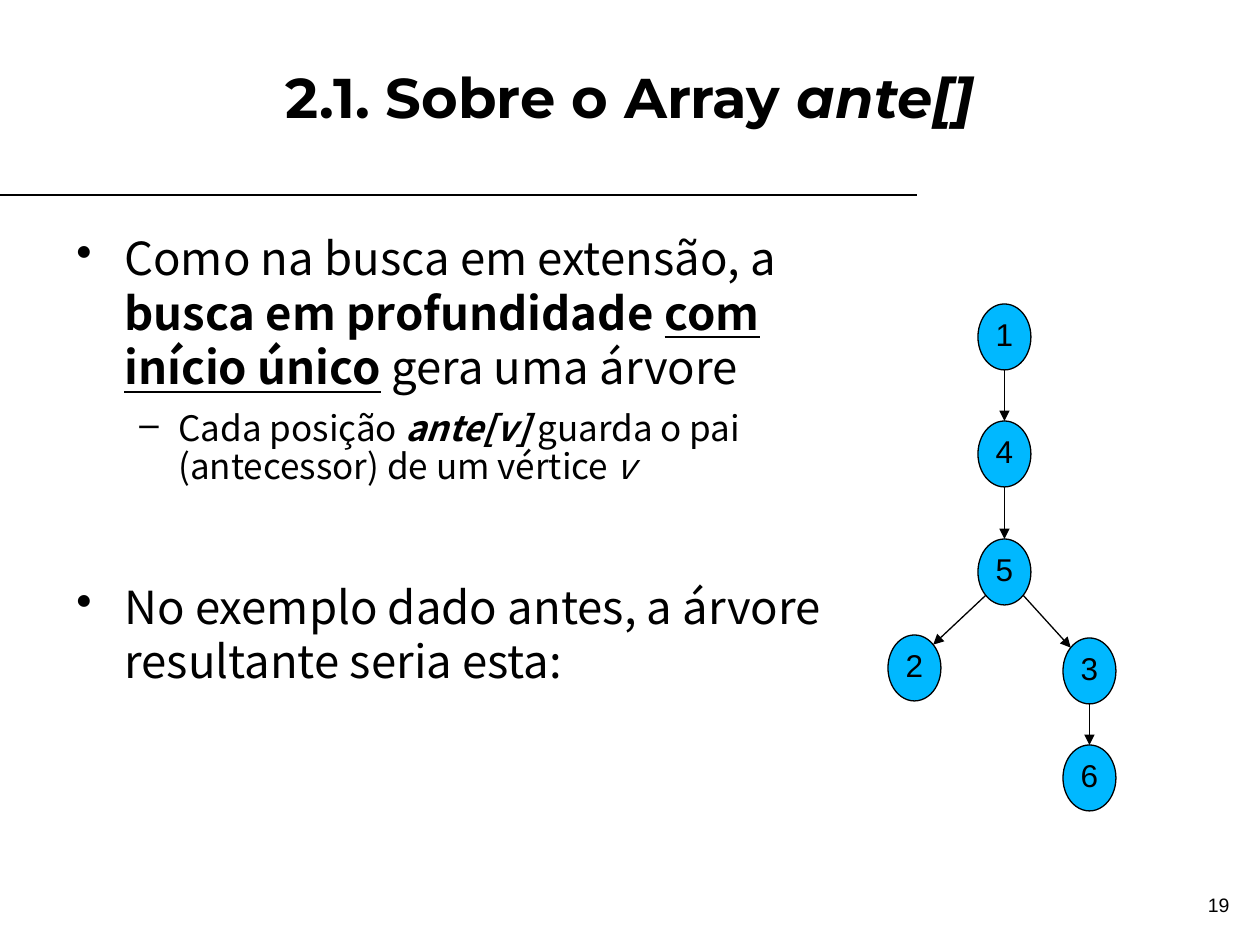
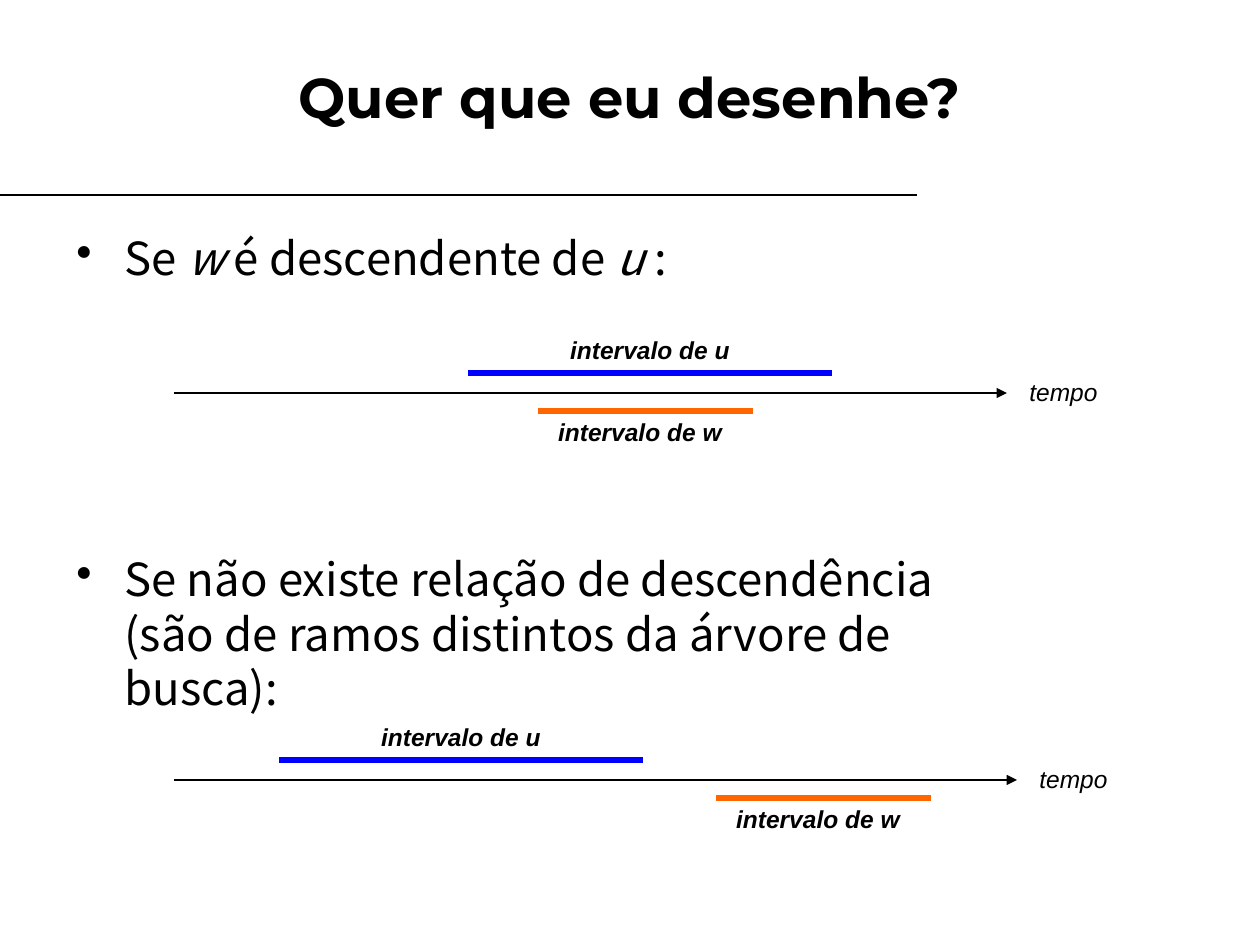
from pptx import Presentation
from pptx import util as u
from pptx.dml.color import RGBColor
from pptx.enum import shapes, text
from pptx.oxml.ns import qn
from lxml import etree

BLACK, SKY, BLUE, ORANGE = "000000", "00B8FF", "0000FF", "FF6600"
HEAD, BODY, SANS = "Montserrat", "Noto Sans CJK JP", "Arial"
LEFT, MID, RIGHT = text.PP_ALIGN.LEFT, text.PP_ALIGN.CENTER, text.PP_ALIGN.RIGHT

LEVELS = {
    "•": dict(size=26, left=48, hang=48, after=4.9, line=None),
    "–": dict(size=20, left=102, hang=39, after=0, line=0.9),
}

ANTE = dict(
    title=[("2.1. Sobre o Array ", "b"), ("ante[]", "bi")],
    width=794,
    body=[
        ("•", 9.8, [("Como na busca em extensão, a ", ""),
                    ("busca em profundidade ", "b"),
                    ("com início único", "bu"),
                    (" gera uma árvore", "")]),
        ("–", 5, [("Cada posição ", ""), ("ante[v]", "bi"),
                  (" guarda o pai (antecessor) de um vértice ", ""), ("v", "i")]),
        ("•", 52.6, [("No exemplo dado antes, a árvore resultante seria esta:", "")]),
    ],
)
NODES = {"1": (978, 304), "4": (978, 421), "5": (978, 539),
         "2": (888, 635), "3": (1063, 638), "6": (1063, 745)}
EDGES = ["14", "45", "52", "53", "36"]
NODE_W, NODE_H = 53, 66

DRAW = dict(
    title=[("Quer que eu desenhe?", "b")],
    width=953,
    body=[
        ("•", 9.8, [("Se ", ""), ("w", "i"), (" é descendente de ", ""),
                    ("u ", "i"), (":", "")]),
        ("•", 147.3, [("Se não existe relação de descendência "
                       "(são de ramos distintos da árvore de busca):", "")]),
    ],
)
TIMES = [dict(y=393, tip=1007, u=471, w=541),
         dict(y=780, tip=1017, u=282, w=719)]
AXIS_X, U_LEN, W_LEN = 174, 358, 209


def px(n):
    return u.Emu(round(n * 914400 / 126))


def rgb(code):
    return RGBColor.from_string(code)


def add_runs(para, runs, font, size):
    for words, style in runs:
        run = para.add_run()
        run.text = words
        f = run.font
        f.name, f.size = font, u.Pt(size)
        f.color.rgb = rgb(BLACK)
        f.bold, f.italic, f.underline = "b" in style, "i" in style, "u" in style


def add_box(slide, x, y, w, h):
    frame = slide.shapes.add_textbox(px(x), px(y), px(w), px(h)).text_frame
    frame.word_wrap = True
    return frame


def add_label(slide, area, runs, font, size, align=LEFT, line=None):
    frame = add_box(slide, *area)
    para = frame.paragraphs[0]
    para.alignment, para.line_spacing = align, line
    add_runs(para, runs, font, size)
    return frame


def add_line(slide, a, b, color=BLACK, width=1, arrow=False, cap="flat"):
    link = slide.shapes.add_connector(
        shapes.MSO_CONNECTOR.STRAIGHT, px(a[0]), px(a[1]), px(b[0]), px(b[1]))
    link.line.color.rgb = rgb(color)
    link.line.width = u.Pt(width)
    ln = link.line._get_or_add_ln()
    ln.set("cap", cap)
    if arrow:
        etree.SubElement(ln, qn("a:tailEnd"), type="triangle")
    etree.SubElement(link._element.spPr, qn("a:effectLst"))


def add_item(para, mark, before, runs):
    level = LEVELS[mark]
    para.space_before, para.space_after = u.Pt(before), u.Pt(level["after"])
    para.line_spacing = level["line"]
    props = para._p.get_or_add_pPr()
    props.set("marL", str(px(level["left"])))
    props.set("indent", str(-px(level["hang"])))
    etree.SubElement(props, qn("a:buChar"), char=mark)
    add_runs(para, runs, BODY, level["size"])


def add_page(deck, page):
    slide = deck.slides.add_slide(deck.slide_layouts[6])
    add_line(slide, (0, 195), (917, 195))
    title = add_label(slide, (63, 18, 1134, 157), page["title"], HEAD, 32, MID)
    title.vertical_anchor = text.MSO_ANCHOR.MIDDLE
    frame = add_box(slide, 64, 224, page["width"], 649)
    for i, item in enumerate(page["body"]):
        para = frame.add_paragraph() if i else frame.paragraphs[0]
        add_item(para, *item)
    return slide


def add_node(slide, name, x, y):
    node = slide.shapes.add_shape(
        shapes.MSO_SHAPE.OVAL, px(x), px(y), px(NODE_W), px(NODE_H))
    node.shadow.inherit = False
    node.fill.solid()
    node.fill.fore_color.rgb = rgb(SKY)
    node.line.color.rgb = rgb(BLACK)
    node.line.width = u.Pt(0.75)
    frame = node.text_frame
    frame.word_wrap = False
    frame.vertical_anchor = text.MSO_ANCHOR.MIDDLE
    para = frame.paragraphs[0]
    para.alignment, para.line_spacing = MID, 0.87
    add_runs(para, [(name, "")], SANS, 18)


def rim(name, side, down):
    x, y = NODES[name]
    reach = 0.707 if side else 1
    return (x + NODE_W / 2 * (1 + side * reach),
            y + NODE_H / 2 * (1 + down * reach))


def add_tree(slide):
    for name, spot in NODES.items():
        add_node(slide, name, *spot)
    for top, low in EDGES:
        gap = NODES[low][0] - NODES[top][0]
        side = (gap > 0) - (gap < 0)
        add_line(slide, rim(top, side, 1), rim(low, -side, -1),
                 width=0.75, arrow=True)


def add_time(slide, y, tip, u, w):
    add_line(slide, (AXIS_X, y), (tip, y), arrow=True)
    add_label(slide, (tip + 10, y - 22, 149, 43), [("tempo", "i")], SANS, 14)
    bars = [("u", u, U_LEN, -20, BLUE, 70, -64),
            ("w", w, W_LEN, 18, ORANGE, -10, 18)]
    for name, x, size, rise, color, shift, drop in bars:
        add_line(slide, (x, y + rise), (x + size, y + rise), color, 3, cap="sq")
        add_label(slide, (x + shift, y + drop, 218, 43),
                  [("intervalo de " + name, "bi")], SANS, 14, MID)


def main():
    deck = Presentation()
    deck.slide_width, deck.slide_height = px(1260), px(945)
    ante = add_page(deck, ANTE)
    add_tree(ante)
    add_label(ante, (948, 890, 294, 37), [("19", "")], SANS, 11.1, RIGHT, 0.9)
    draw = add_page(deck, DRAW)
    for time in TIMES:
        add_time(draw, **time)
    deck.save("out.pptx")


if __name__ == "__main__":
    main()
